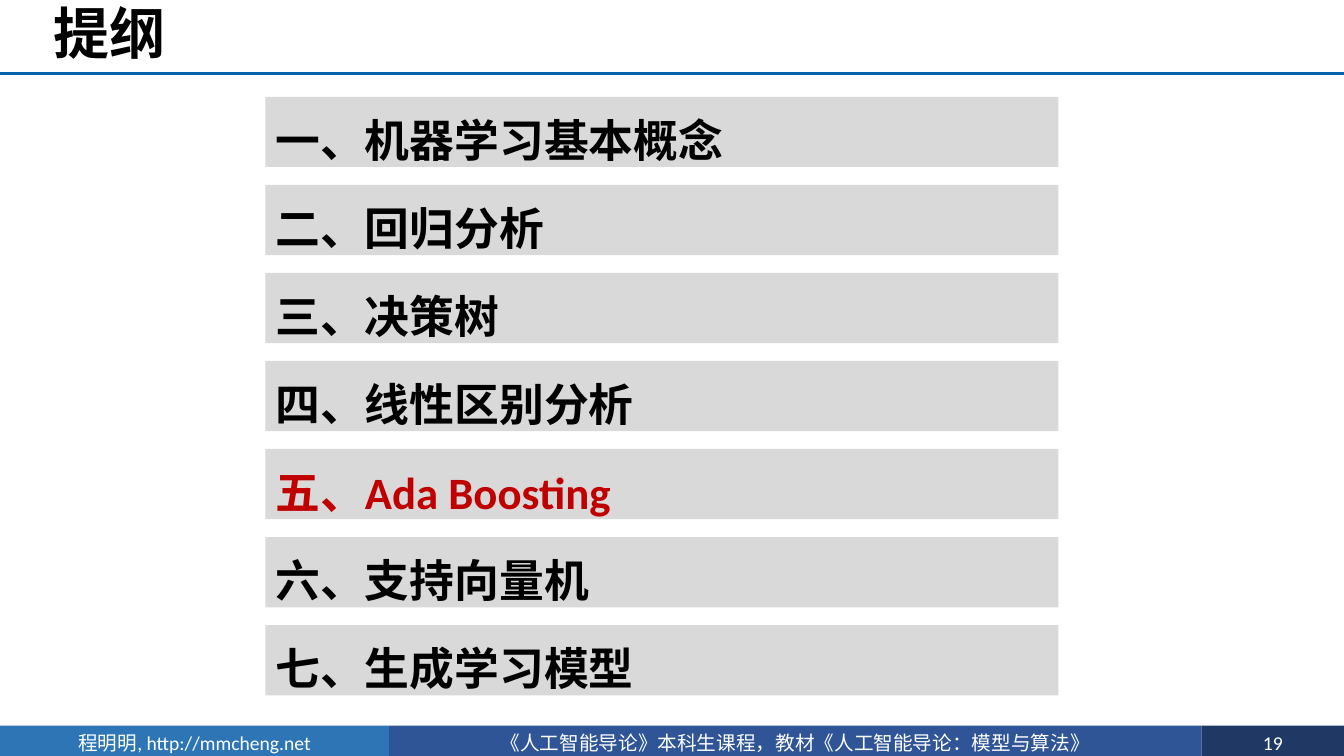
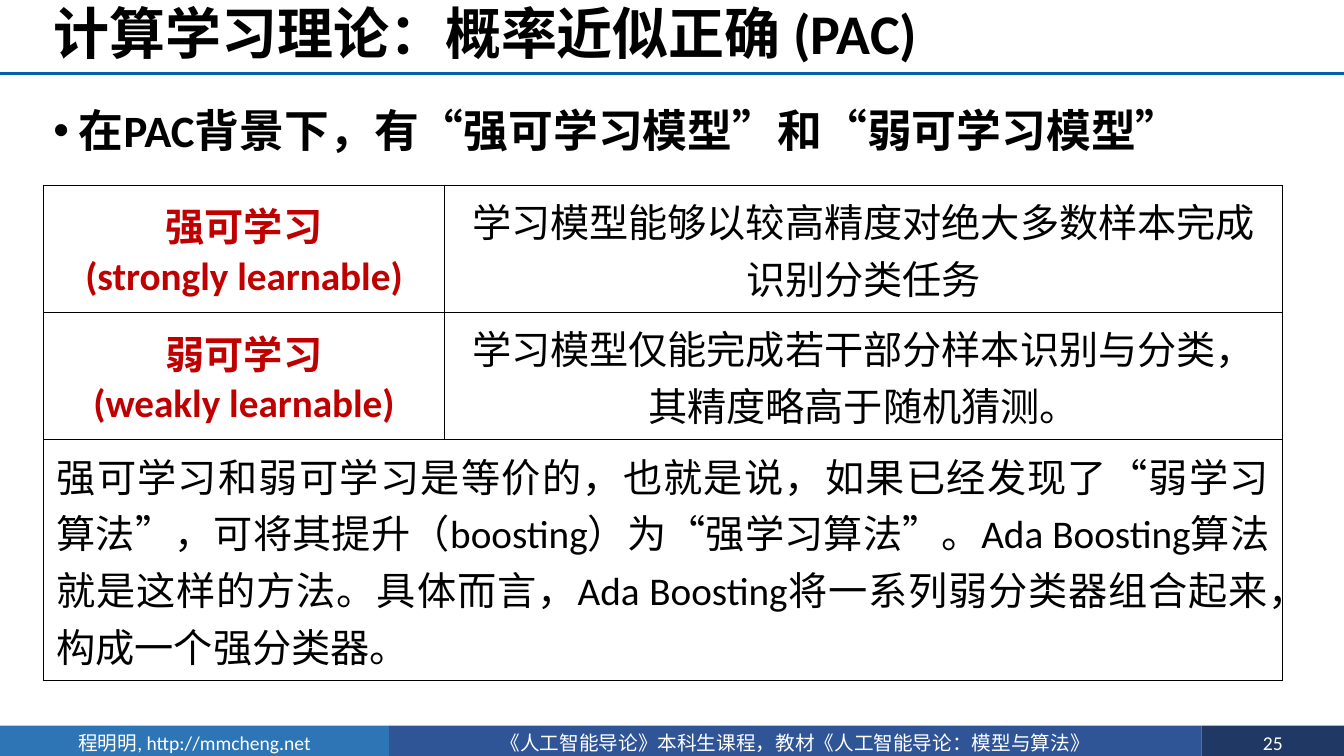
from lxml import etree
from pptx import Presentation
from pptx.dml.color import RGBColor
from pptx.enum import shapes, text
from pptx.oxml.ns import qn
from pptx.util import Pt

WIDTH, HEIGHT = 960, 540
BLACK, WHITE, RED, GRAY = "000000", "FFFFFF", "C00000", "D9D9D9"
RULE_BLUE, AUTHOR_BLUE, COURSE_BLUE, NUMBER_BLUE = "0062AC", "2E75B6", "2F5597", "203864"
FONT = "Calibri"
MARGIN = 31
RULE_Y = 52.6
FOOTER_TOP = 518.4
LEFT, CENTER, JUSTIFY = text.PP_ALIGN.LEFT, text.PP_ALIGN.CENTER, text.PP_ALIGN.JUSTIFY

AGENDA = [
    ("一、机器学习基本概念", BLACK, FONT),
    ("二、回归分析", BLACK, FONT),
    ("三、决策树", BLACK, FONT),
    ("四、线性区别分析", BLACK, FONT),
    ("五、Ada Boosting", RED, FONT),
    ("六、支持向量机", BLACK, FONT),
    ("七、生成学习模型", BLACK, "Arial"),
]
DEFINITIONS = [
    (["强可学习", "(strongly learnable)"],
     "学习模型能够以较高精度对绝大多数样本完成识别分类任务"),
    (["弱可学习", "(weakly learnable)"],
     "学习模型仅能完成若干部分样本识别与分类，其精度略高于随机猜测。"),
]
EQUIVALENCE = (
    "强可学习和弱可学习是等价的，也就是说，如果已经发现了“弱学习算法”，"
    "可将其提升（boosting）为“强学习算法”。Ada Boosting算法就是这样的方法。"
    "具体而言，Ada Boosting将一系列弱分类器组合起来，构成一个强分类器。"
)


def color(hex_code):
    return RGBColor.from_string(hex_code)


def place(part, left, top, width, height):
    part.left, part.top, part.width, part.height = map(Pt, (left, top, width, height))


def write(paragraph, words, size, hex_code=BLACK, bold=False, align=LEFT, spacing=1.0, font=FONT):
    paragraph.alignment = align
    paragraph.line_spacing = spacing
    paragraph.space_before = Pt(0)
    run = paragraph.add_run()
    run.text = words
    run.font.name = font
    run.font.size = Pt(size)
    run.font.bold = bold
    run.font.color.rgb = color(hex_code)


def fix_frame(frame, anchor):
    frame.word_wrap = True
    frame.auto_size = text.MSO_AUTO_SIZE.NONE
    frame.vertical_anchor = anchor


def add_bar(slide, box, fill, words, size, **style):
    bar = slide.shapes.add_shape(shapes.MSO_SHAPE.RECTANGLE, *map(Pt, box))
    bar.shadow.inherit = False
    bar.fill.solid()
    bar.fill.fore_color.rgb = color(fill)
    bar.line.fill.background()
    fix_frame(bar.text_frame, text.MSO_ANCHOR.TOP)
    write(bar.text_frame.paragraphs[0], words, size, **style)


def add_footer(slide, number):
    bands = [
        (278, AUTHOR_BLUE, "程明明, http://mmcheng.net"),
        (580.4, COURSE_BLUE, "《人工智能导论》本科生课程，教材《人工智能导论：模型与算法》"),
        (101.6, NUMBER_BLUE, str(number)),
    ]
    left = 0
    for width, fill, words in bands:
        add_bar(slide, (left, FOOTER_TOP, width, HEIGHT - FOOTER_TOP), fill, words, 14,
                hex_code=WHITE, align=CENTER)
        left += width


def add_rule(slide):
    rule = slide.shapes.add_connector(
        shapes.MSO_CONNECTOR.STRAIGHT, Pt(0), Pt(RULE_Y), Pt(WIDTH), Pt(RULE_Y))
    rule.line.color.rgb = color(RULE_BLUE)
    rule.line.width = Pt(2)
    etree.SubElement(rule._element.spPr, qn("a:effectLst"))


def start_slide(deck, layout_index, heading, number):
    slide = deck.slides.add_slide(deck.slide_layouts[layout_index])
    add_footer(slide, number)
    add_rule(slide)
    title = slide.shapes.title
    place(title, MARGIN, 0, WIDTH - MARGIN, RULE_Y)
    fix_frame(title.text_frame, text.MSO_ANCHOR.MIDDLE)
    write(title.text_frame.paragraphs[0], heading, 40, bold=True, spacing=0.9)
    return slide


def add_agenda(slide):
    for row, (topic, hex_code, font) in enumerate(AGENDA):
        add_bar(slide, (189.5, 69.1 + 62.9 * row, 566.5, 50.2), GRAY, topic, 32,
                hex_code=hex_code, bold=True, spacing=1.2, font=font)


def fill_bullet(body, words):
    place(body, MARGIN, 62, 894, 455)
    fix_frame(body.text_frame, text.MSO_ANCHOR.TOP)
    paragraph = body.text_frame.paragraphs[0]
    properties = paragraph._p.get_or_add_pPr()
    properties.set("marL", str(Pt(18)))
    properties.set("indent", str(-Pt(18)))
    etree.SubElement(properties, qn("a:buFont"), typeface="Arial")
    etree.SubElement(properties, qn("a:buChar"), char="•")
    write(paragraph, words, 32, bold=True, spacing=1.2)


def frame_cell(cell):
    cell.vertical_anchor = text.MSO_ANCHOR.MIDDLE
    cell.margin_left = cell.margin_right = Pt(9.4)
    cell.margin_top = cell.margin_bottom = Pt(5)
    properties = cell._tc.get_or_add_tcPr()
    for side in ("lnL", "lnR", "lnT", "lnB"):
        border = etree.SubElement(properties, qn("a:" + side), w=str(Pt(1)))
        ink = etree.SubElement(border, qn("a:solidFill"))
        etree.SubElement(ink, qn("a:srgbClr"), val=BLACK)
    cell.fill.background()


def write_cell(cell, lines, **style):
    frame = cell.text_frame
    for index, line in enumerate(lines):
        paragraph = frame.add_paragraph() if index else frame.paragraphs[0]
        write(paragraph, line, 28, **style)


def add_definitions(slide):
    columns, rows = (286.5, 598.5), (90.5, 90.5, 172)
    table = slide.shapes.add_table(
        len(rows), len(columns), Pt(MARGIN), Pt(132.3), Pt(sum(columns)), Pt(sum(rows))).table
    table.first_row = table.horz_banding = False
    for column, width in zip(table.columns, columns):
        column.width = Pt(width)
    for row, height in zip(table.rows, rows):
        row.height = Pt(height)
    for cell in table.iter_cells():
        frame_cell(cell)
    for row, (term, meaning) in enumerate(DEFINITIONS):
        write_cell(table.cell(row, 0), term, hex_code=RED, bold=True, align=CENTER)
        write_cell(table.cell(row, 1), [meaning], align=CENTER)
    conclusion = table.cell(2, 0)
    conclusion.merge(table.cell(2, 1))
    write_cell(conclusion, [EQUIVALENCE], align=JUSTIFY)


def main():
    deck = Presentation()
    deck.slide_width, deck.slide_height = Pt(WIDTH), Pt(HEIGHT)

    outline = start_slide(deck, 5, "提纲", 19)
    add_agenda(outline)

    theory = start_slide(deck, 1, "计算学习理论：概率近似正确 (PAC)", 25)
    fill_bullet(theory.placeholders[1], "在PAC背景下，有“强可学习模型”和“弱可学习模型”")
    add_definitions(theory)

    deck.save("out.pptx")


if __name__ == "__main__":
    main()
